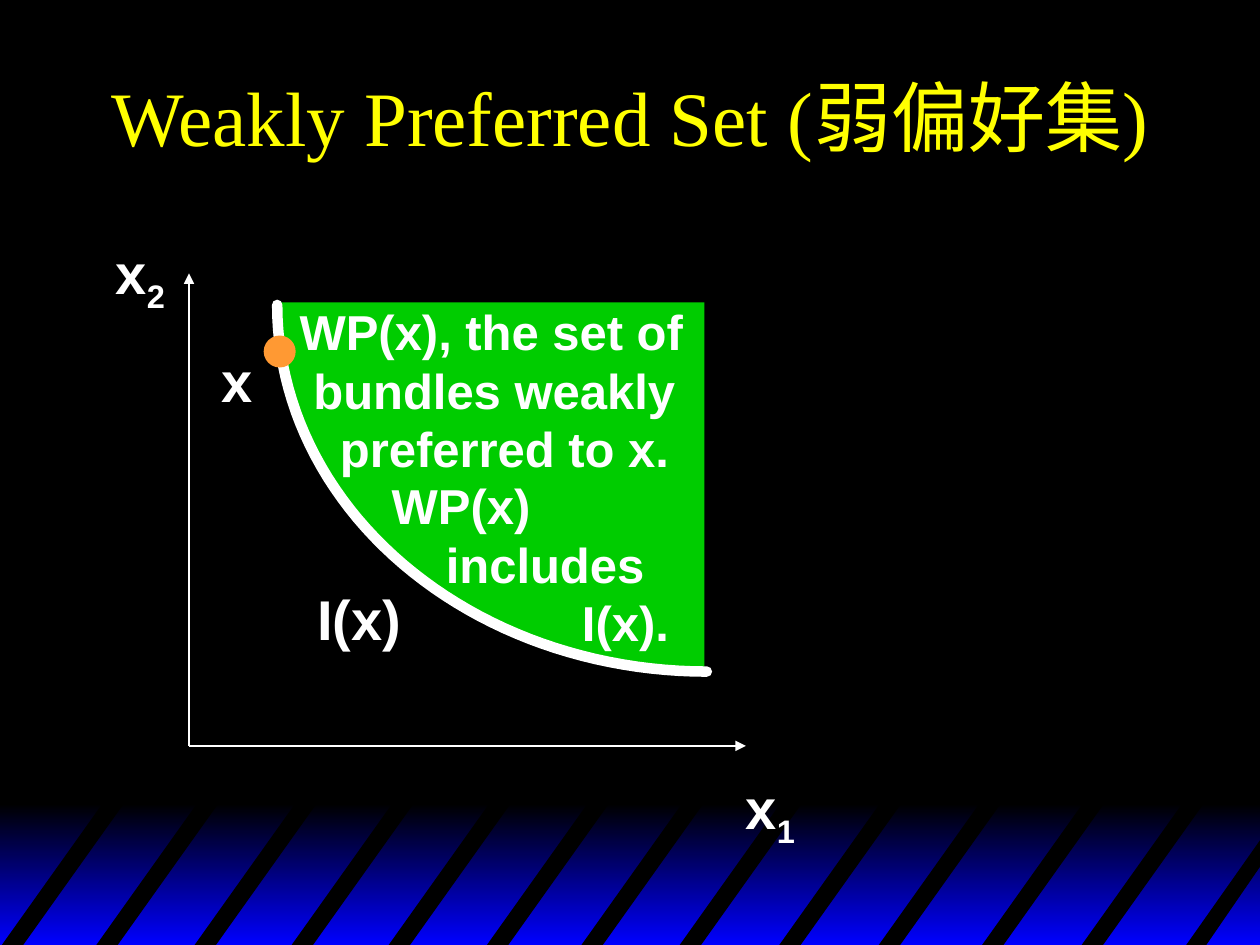
from math import cos, pi, sin

from lxml import etree
from pptx import Presentation
from pptx.dml.color import RGBColor
from pptx.enum.shapes import MSO_CONNECTOR, MSO_SHAPE
from pptx.enum.text import MSO_ANCHOR, PP_ALIGN
from pptx.oxml.ns import qn
from pptx.util import Pt

PX = 9144
LINE = MSO_CONNECTOR.STRAIGHT
RECT = MSO_SHAPE.RECTANGLE
OVAL = MSO_SHAPE.OVAL
MID = MSO_ANCHOR.MIDDLE
CENTER = PP_ALIGN.CENTER
BLACK = RGBColor(0, 0, 0)
BLUE = RGBColor(0, 0, 255)
WHITE = RGBColor(255, 255, 255)
GREEN = RGBColor(0, 204, 0)
ORANGE = RGBColor(255, 153, 51)
YELLOW = RGBColor(255, 255, 0)

deck = Presentation()
deck.slide_width = 1000 * PX
deck.slide_height = 750 * PX
slide = deck.slides.add_slide(deck.slide_layouts[6])
slide.background.fill.solid()
slide.background.fill.fore_color.rgb = BLACK
shapes = slide.shapes


def outline(dots, fill=None):
    spots = [(round(x * PX), round(y * PX)) for x, y in dots]
    pen = shapes.build_freeform(*spots[0], scale=1.0)
    pen.add_line_segments(spots[1:], close=fill is not None)
    shape = pen.convert_to_shape()
    shape.shadow.inherit = False
    if fill is None:
        shape.fill.background()
    else:
        shape.fill.solid()
        shape.fill.fore_color.rgb = fill
        shape.line.fill.background()
    return shape


def write(box, rows, size, top, wrap=True, face="Arial", color=WHITE, bold=True):
    frame = shapes.add_textbox(*[v * PX for v in box]).text_frame
    frame.word_wrap = wrap
    frame.margin_top = top * PX
    for i, (text, sub, indent) in enumerate(rows):
        para = frame.paragraphs[0] if i == 0 else frame.add_paragraph()
        para.add_run().text = text
        if sub:
            run = para.add_run()
            run.text = sub
            run._r.get_or_add_rPr().set("baseline", "-25000")
        if indent:
            para._p.get_or_add_pPr().set("marL", str(indent * PX))
        if len(rows) > 1:
            para.line_spacing = Pt(33.4)
        font = para.font
        font.name, font.size, font.bold = face, Pt(size), bold
        font.color.rgb = color
    return frame


band = shapes.add_shape(RECT, 0, 638 * PX, 1002 * PX, 112 * PX)
band.shadow.inherit = False
band.line.fill.background()
band.fill.gradient()
band.fill.gradient_angle = 270
for stop, color in zip(band.fill.gradient_stops, (BLACK, BLUE)):
    stop.color.rgb = color

for x in (0, 75, 153, 230, 307, 385, 460, 538, 617, 696, 778, 857):
    outline([(x, 752), (x + 84, 634), (x + 101, 634), (x + 17, 752)], BLACK)
outline([(940, 752), (1002, 664), (1002, 685), (956, 752)], BLACK)

outline([(221, 240), (226, 294), (240, 343), (277, 407), (311, 437), (347, 468),
         (409, 503), (460, 521), (559, 535), (559, 240)], GREEN)

title = write((75, 25, 850, 133), [("Weakly Preferred Set (弱偏好集)", "", 0)],
              44, 5, face="Times New Roman", color=YELLOW, bold=False)
title.vertical_anchor = MID
title.paragraphs[0].alignment = CENTER

for x, y in ((150, 217), (592, 592)):
    axis = shapes.add_connector(LINE, 150 * PX, 592 * PX, x * PX, y * PX)
    axis.line.color.rgb = WHITE
    axis.line.width = Pt(1)
    etree.SubElement(axis.line._get_or_add_ln(), qn("a:tailEnd"), type="triangle")
    etree.SubElement(axis._element.spPr, qn("a:effectLst"))

steps = 48
turns = [pi / 2 * i / steps for i in range(steps + 1)]
curve = outline([(561 - 341 * cos(t), 242 + 291 * sin(t)) for t in turns])
curve.line.color.rgb = WHITE
curve.line.width = Pt(6)
edge = curve.line._get_or_add_ln()
edge.set("cap", "rnd")
etree.SubElement(edge, qn("a:round"))

dot = shapes.add_shape(OVAL, 210 * PX, 267 * PX, 24 * PX, 24 * PX)
dot.shadow.inherit = False
dot.fill.solid()
dot.fill.fore_color.rgb = ORANGE
dot.line.color.rgb = ORANGE
dot.line.width = Pt(1)

for box, text, sub, wrap in (
    ((82, 180, 59, 71), "x", "2", False),
    ((582, 605, 59, 71), "x", "1", False),
    ((166, 266, 72, 63), "x", "", True),
    ((242, 455, 108, 63), "I(x)", "", True),
):
    write(box, [(text, sub, 0)], 32, 9, wrap)

write((228, 233, 450, 150), [("WP(x), the set of", "", 0), ("bundles weakly", "", 11),
                             ("preferred to x.", "", 32)], 28, 7)
write((279, 371, 262, 150), [("WP(x)", "", 22), ("includes", "", 65),
                             ("I(x).", "", 173)], 28, 7)

deck.save("out.pptx")
